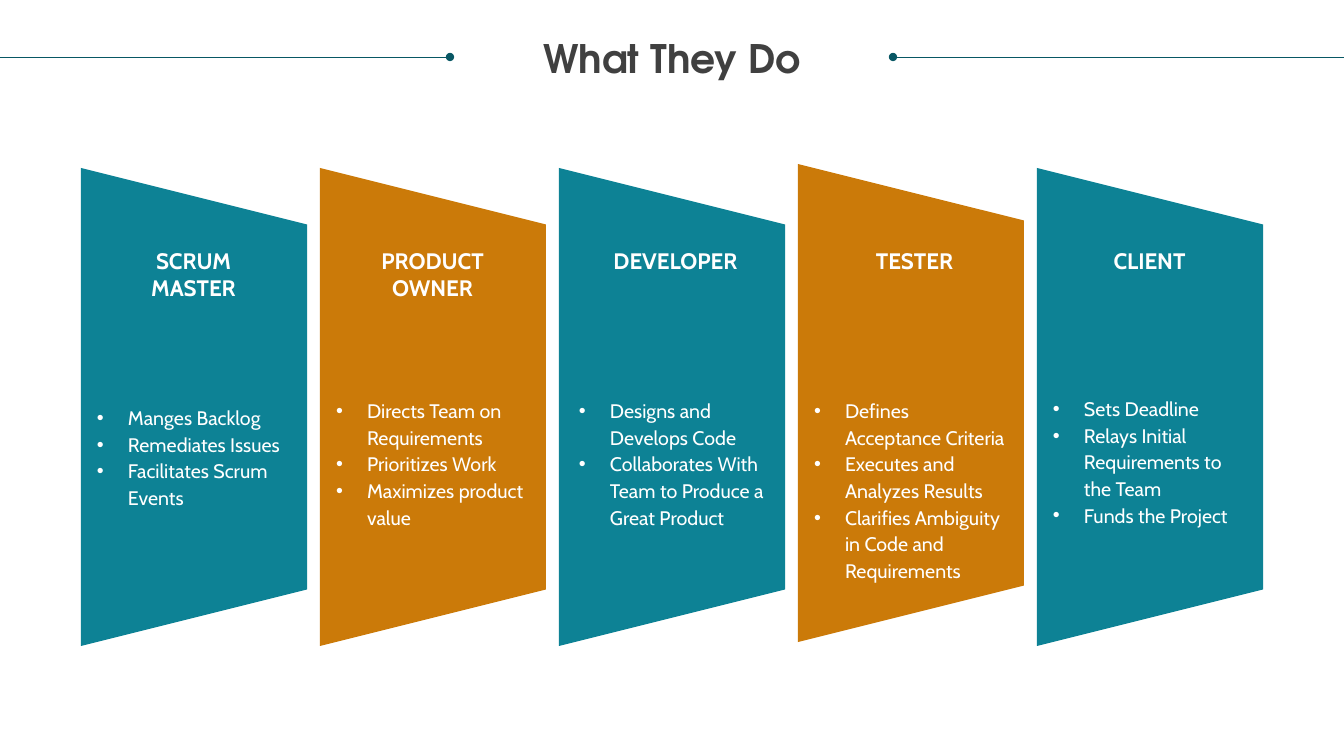
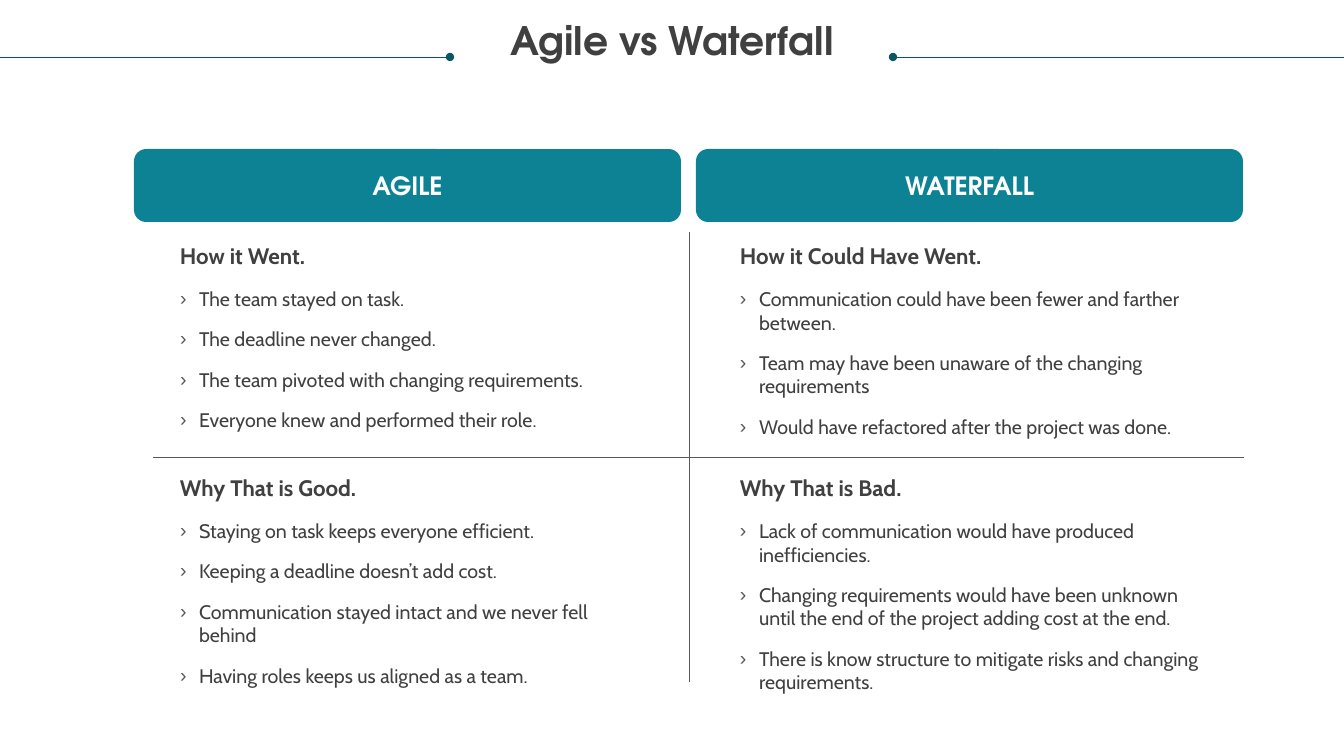
"""Build two slides on Scrum roles and on Agile compared with Waterfall."""
from copy import deepcopy

from lxml.etree import SubElement
from pptx import Presentation
from pptx.dml.color import RGBColor
from pptx.enum.shapes import MSO_CONNECTOR, MSO_SHAPE
from pptx.enum.text import MSO_ANCHOR, MSO_AUTO_SIZE, PP_ALIGN
from pptx.oxml.ns import qn
from pptx.util import Emu, Pt

PX = 12192000 / 1344
WIDTH, HEIGHT = 1344, 756
TEAL = RGBColor(0x0D, 0x82, 0x95)
DARK_TEAL = RGBColor(0x08, 0x57, 0x64)
ORANGE = RGBColor(0xCB, 0x7A, 0x09)
INK = RGBColor(0x40, 0x40, 0x40)
GREY = RGBColor(0x58, 0x58, 0x58)
WHITE = RGBColor(0xFF, 0xFF, 0xFF)
TITLE_FONT, TEXT_FONT = "TeX Gyre Adventor", "Cabin"


def draw_rule(slide, start, end, color, dotted_end=None):
    points = [Emu(round(n * PX)) for n in (*start, *end)]
    rule = slide.shapes.add_connector(MSO_CONNECTOR.STRAIGHT, *points)
    rule.line.color.rgb = color
    rule.line.width = Pt(0.5)
    if dotted_end:
        SubElement(rule.line._get_or_add_ln(), qn(f"a:{dotted_end}"), type="oval")
    SubElement(rule._element.spPr, qn("a:effectLst"))


def write(shape, box, lines, size, color, bold=False, font=TEXT_FONT, align=PP_ALIGN.LEFT,
          anchor=MSO_ANCHOR.TOP, bullet=None, bullet_color=None, indent=0, leading=1.0, gap=0):
    shape.left, shape.top, shape.width, shape.height = [Emu(round(n * PX)) for n in box]
    frame = shape.text_frame
    frame.word_wrap = True
    frame.auto_size = MSO_AUTO_SIZE.NONE
    frame.vertical_anchor = anchor
    frame.margin_left = frame.margin_top = frame.margin_right = frame.margin_bottom = 0
    for number, line in enumerate(lines):
        paragraph = frame.add_paragraph() if number else frame.paragraphs[0]
        paragraph.alignment = align
        paragraph.line_spacing = leading
        paragraph.space_before = Pt(gap)
        run = paragraph.add_run()
        run.text = line
        run.font.name, run.font.size, run.font.bold = font, Pt(size), bold
        run.font.color.rgb = color
        if bullet:
            properties = paragraph._p.get_or_add_pPr()
            properties.set("marL", str(round(indent * PX)))
            properties.set("indent", str(-round(indent * PX)))
            if bullet_color:
                holder = SubElement(properties, qn("a:buClr"))
                SubElement(holder, qn("a:srgbClr"), val=str(bullet_color))
            SubElement(properties, qn("a:buChar"), char=bullet)


prs = Presentation()
prs.slide_width, prs.slide_height = Emu(round(WIDTH * PX)), Emu(round(HEIGHT * PX))

layout = prs.slide_layouts.get_by_name("Title and Content")
first_body = layout.placeholders[1].element
for extra in range(4):
    body = deepcopy(first_body)
    body.xpath(".//p:cNvPr")[0].set("id", str(20 + extra))
    body.xpath(".//p:ph")[0].set("idx", str(20 + extra))
    first_body.getparent().append(body)

slides = []
for title, title_top in [("What They Do", 34), ("Agile vs Waterfall", 16)]:
    slide = prs.slides.add_slide(layout)
    write(slide.shapes.title, (460, title_top, 424, 48), [title], 28, INK, bold=True,
          font=TITLE_FONT, align=PP_ALIGN.CENTER)
    draw_rule(slide, (893, 57), (WIDTH, 57), DARK_TEAL, "headEnd")
    draw_rule(slide, (0, 57), (450, 57), DARK_TEAL, "tailEnd")
    slides.append(slide)
roles_slide, comparison_slide = slides

ROLES = [
    ("SCRUM MASTER", 168, 37, 16, 403,
     ["Manges Backlog", "Remediates Issues", "Facilitates Scrum Events"]),
    ("PRODUCT OWNER", 168, 37, 16, 396,
     ["Directs Team on Requirements", "Prioritizes Work", "Maximizes product value"]),
    ("DEVELOPER", 168, 41, 20, 396,
     ["Designs and Develops Code", "Collaborates With Team to Produce a Great Product"]),
    ("TESTER", 164, 41, 16, 396,
     ["Defines Acceptance Criteria", "Executes and Analyzes Results",
      "Clarifies Ambiguity in Code and Requirements"]),
    ("CLIENT", 168, 37, 16, 394,
     ["Sets Deadline", "Relays Initial Requirements to the Team", "Funds the Project"]),
]
PANEL_WIDTH, PANEL_HEIGHT, PANEL_PITCH = 226, 478, 239
duty_lists = list(roles_slide.placeholders)[1:]
for index, (role, panel_top, role_inset, duty_inset, duty_top, duties) in enumerate(ROLES):
    left = 81 + index * PANEL_PITCH
    turn = (PANEL_HEIGHT - PANEL_WIDTH) / 2
    panel_box = (left - turn, panel_top + turn, PANEL_HEIGHT, PANEL_WIDTH)
    panel = roles_slide.shapes.add_shape(
        MSO_SHAPE.TRAPEZOID, *[Emu(round(n * PX)) for n in panel_box])
    panel.rotation = 90
    panel.shadow.inherit = False
    panel.fill.solid()
    panel.fill.fore_color.rgb = ORANGE if index % 2 else TEAL
    panel.line.fill.background()
    write(roles_slide.shapes.add_textbox(0, 0, 0, 0), (left + role_inset, 247, 151, 54),
          [role], 16, WHITE, bold=True, align=PP_ALIGN.CENTER)
    duty_list = duty_lists[index]
    duty_list.element.getparent().append(duty_list.element)
    write(duty_list, (left + duty_inset, duty_top, 194, 186), duties, 14, WHITE,
          bullet="•", indent=31, leading=Pt(19))

METHODS = [
    ("AGILE", 134, 180, [
        ("How it Went.",
         ["The team stayed on task.", "The deadline never changed.",
          "The team pivoted with changing requirements.",
          "Everyone knew and performed their role."]),
        ("Why That is Good.",
         ["Staying on task keeps everyone efficient.", "Keeping a deadline doesn’t add cost.",
          "Communication stayed intact and we never fell behind",
          "Having roles keeps us aligned as a team."])]),
    ("WATERFALL", 696, 740, [
        ("How it Could Have Went.",
         ["Communication could have been fewer and farther between.",
          "Team may have been unaware of the changing requirements",
          "Would have refactored after the project was done."]),
        ("Why That is Bad.",
         ["Lack of communication would have produced inefficiencies.",
          "Changing requirements would have been unknown until the end of the project "
          "adding cost at the end.",
          "There is know structure to mitigate risks and changing requirements."])]),
]
draw_rule(comparison_slide, (153, 457), (1244, 457), GREY)
draw_rule(comparison_slide, (689, 232), (689, 682), GREY)
*point_lists, spare_list = list(comparison_slide.placeholders)[1:]
spare_list.element.getparent().remove(spare_list.element)
remaining_lists = iter(point_lists)
for method, header_left, text_left, topics in METHODS:
    header = comparison_slide.shapes.add_shape(MSO_SHAPE.ROUNDED_RECTANGLE, 0, 0, 0, 0)
    header.shadow.inherit = False
    header.fill.solid()
    header.fill.fore_color.rgb = TEAL
    header.line.fill.background()
    write(header, (header_left, 149, 547, 73), [method], 18, WHITE, bold=True,
          font=TITLE_FONT, align=PP_ALIGN.CENTER, anchor=MSO_ANCHOR.MIDDLE)
    for row, (topic, points) in enumerate(topics):
        topic_top = 242 + row * 232
        write(comparison_slide.shapes.add_textbox(0, 0, 0, 0),
              (text_left, topic_top, 459, 27), [topic], 16, INK, bold=True)
        write(next(remaining_lists), (text_left, topic_top + 45, 459, 176), points, 14, INK,
              bullet="›", bullet_color=GREY, indent=19, gap=12)

prs.save("out.pptx")
